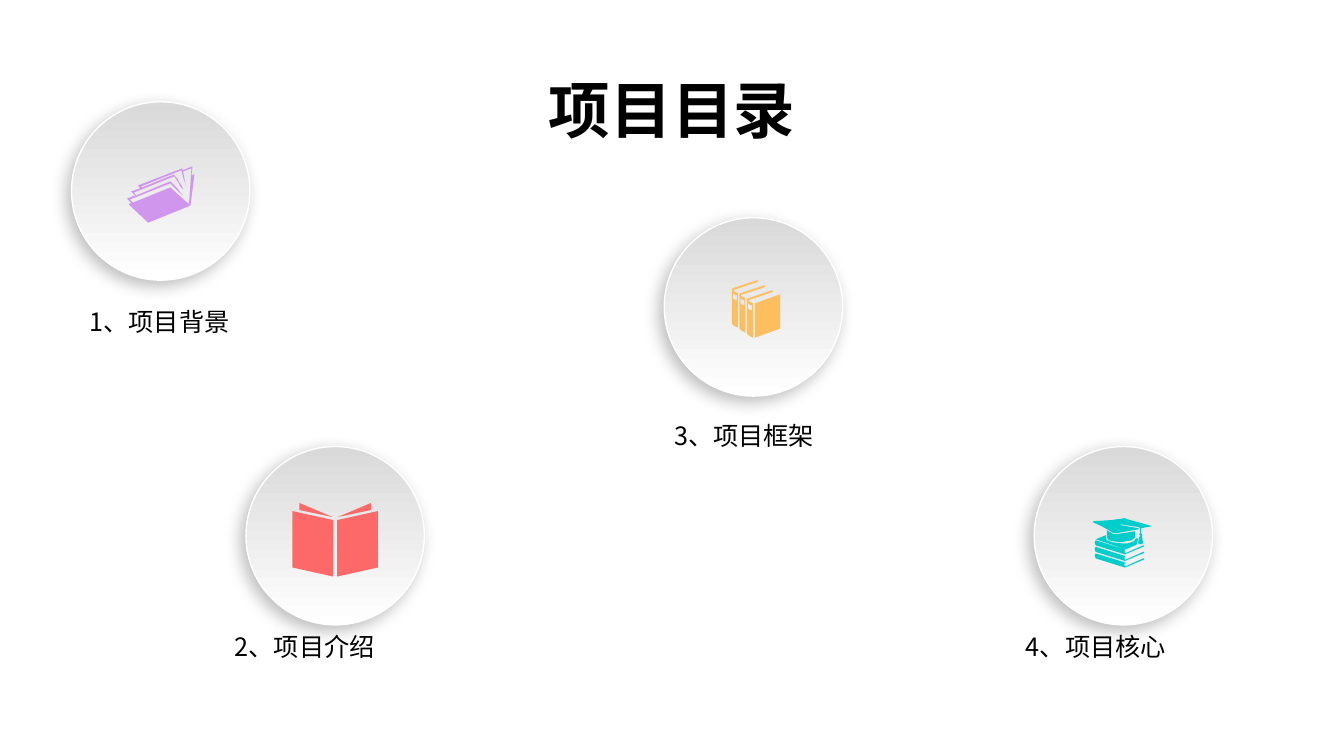
from dataclasses import dataclass

from lxml.etree import SubElement
from pptx import Presentation
from pptx.dml.color import RGBColor
from pptx.enum.shapes import MSO_SHAPE
from pptx.enum.text import MSO_ANCHOR, MSO_AUTO_SIZE, PP_ALIGN
from pptx.oxml.ns import qn
from pptx.shapes.shapetree import GroupShapes
from pptx.slide import Slide
from pptx.text.text import TextFrame
from pptx.util import Pt

Outline = list[tuple[float, float]]

FONT = "Noto Sans CJK SC"
COLORS = {
    "text": "000000",
    "shadow": "000000",
    "rim": "FFFFFF",
    "disc_low": "FFFFFF",
    "disc_high": "D9D9D9",
    "background": "D096ED",
    "introduction": "FD6968",
    "framework": "FDBE5D",
    "core": "01CDCB",
}
DISC_SIZE = 127.44
LABEL_HEIGHT = 28.8
ICON_UNIT = 0.72  # points per icon grid step


def shifted(outline: Outline, dx: float, dy: float) -> Outline:
    return [(x + dx, y + dy) for x, y in outline]


def mirrored(outline: Outline, axis: float) -> Outline:
    return [(2 * axis - x, y) for x, y in outline]


# Icon outlines, in grid steps from the icon's top left corner
FANNED_BOOK: list[Outline] = [[
    (64, 9), (65, 1), (65, 0), (55, 4), (55, 2), (11, 19), (13, 22), (4, 25),
    (8, 29), (0, 32), (4, 36), (2, 38), (21, 56), (63, 39), (43, 21), (6, 36),
    (3, 33), (43, 17), (46, 20), (49, 23), (52, 26), (56, 29), (53, 26),
    (50, 22), (47, 19), (44, 16), (43, 15), (9, 29), (7, 26), (47, 10),
    (49, 13), (51, 16), (53, 20), (56, 23), (54, 19), (52, 16), (50, 12),
    (47, 9), (47, 8), (15, 21), (14, 20), (54, 4), (55, 8), (56, 12), (58, 17),
    (59, 21), (58, 17), (57, 12), (56, 7), (56, 5), (64, 2), (62, 32),
    (61, 38), (63, 39), (67, 8),
]]

LEFT_PAGES: list[Outline] = [
    [(40, 14), (7, 0), (7, 7)],
    [(0, 64), (40.5, 73), (40.5, 17), (0, 8)],
]
OPEN_BOOK = LEFT_PAGES + [mirrored(page, 42.5) for page in LEFT_PAGES]

VOLUME: list[Outline] = [
    [(26, 1), (25, 0), (1, 8), (0, 9), (0, 43), (2, 45), (6, 47), (6, 13),
     (4, 12), (1, 10), (25, 2)],
    [(5, 15), (5, 20), (3, 19.5), (1, 18), (1, 13), (3, 14.5)],
]
FRONT_COVER: Outline = [(23, 23), (23, 57), (48, 48), (48, 14)]
BOOK_ROW = [FRONT_COVER] + [
    shifted(part, 7.5 * i, 5 * i) for i in range(3) for part in VOLUME
]

STACKED_BOOK: Outline = [
    (32, 35), (31.5, 33), (32, 31), (3, 22), (2, 24), (3, 27), (32, 36),
    (51, 28), (51, 27), (50, 27),
]
TOP_COVER: Outline = [
    (33, 31), (44, 26), (45, 20), (43, 20), (41, 23), (35, 25), (28, 25),
    (20, 24), (14, 22), (13, 19), (13, 17), (3, 21),
]
MORTARBOARD: Outline = [
    (47, 10), (47, 15), (46, 16), (47, 17), (47, 18), (46, 19), (45, 25),
    (48, 26), (50, 25), (49, 19), (49, 16), (48, 15), (48, 10), (59, 8),
    (45, 4), (34, 1), (32, 0), (18, 2), (1, 3), (0, 4), (9, 8), (21, 15),
    (23, 15), (46, 11), (45, 10), (28, 7), (27, 6), (46, 9),
]
CAP: Outline = [
    (42, 13), (42, 19), (39, 22), (33, 23), (28, 24), (21, 23), (16, 22),
    (14, 19), (14, 12), (21, 16), (23, 16),
]
GRADUATION = [TOP_COVER, MORTARBOARD, CAP] + [
    shifted(STACKED_BOOK, 0, 6.5 * i) for i in range(3)
]


@dataclass(frozen=True)
class Topic:
    label: str
    label_at: tuple[float, float]
    label_width: float
    disc_at: tuple[float, float]
    icon_at: tuple[float, float]
    icon: list[Outline]
    color: str


TOPICS = [
    Topic("1、项目背景", (56.88, 215.28), 122.4, (51.12, 72.72),
          (90.72, 118.8), FANNED_BOOK, "background"),
    Topic("2、项目介绍", (160.56, 447.12), 142.56, (175.68, 318.96),
          (208.8, 359.28), OPEN_BOOK, "introduction"),
    Topic("3、项目框架", (474.48, 296.64), 122.4, (474.48, 155.52),
          (522.72, 200.16), BOOK_ROW, "framework"),
    Topic("4、项目核心", (725.76, 447.12), 227.52, (738.72, 318.96),
          (780.48, 370.08), GRADUATION, "core"),
]


def rgb(key: str) -> RGBColor:
    return RGBColor.from_string(COLORS[key])


def add_text(slide: Slide, text: str, at: tuple[float, float], width: float,
             height: float, size: float, bold: bool = False) -> TextFrame:
    frame = slide.shapes.add_textbox(
        Pt(at[0]), Pt(at[1]), Pt(width), Pt(height)).text_frame
    frame.word_wrap = True
    frame.text = text
    run = frame.paragraphs[0].runs[0]
    run.font.size = Pt(size)
    run.font.bold = bold
    run.font.name = FONT
    run.font.color.rgb = rgb("text")
    SubElement(run.font._element, qn("a:ea"), typeface=FONT)
    return frame


def add_disc(shapes: GroupShapes, at: tuple[float, float]) -> None:
    disc = shapes.add_shape(MSO_SHAPE.OVAL, Pt(at[0]), Pt(at[1]),
                            Pt(DISC_SIZE), Pt(DISC_SIZE))
    disc.fill.gradient()
    disc.fill.gradient_angle = 90
    for stop, key in zip(disc.fill.gradient_stops, ("disc_low", "disc_high")):
        stop.color.rgb = rgb(key)
    disc.line.color.rgb = rgb("rim")
    disc.line.width = Pt(1)
    disc.shadow.inherit = False
    effects = disc._element.spPr.find(qn("a:effectLst"))
    shadow = SubElement(effects, qn("a:outerShdw"), blurRad=str(Pt(12)),
                        dist=str(Pt(5)), dir=str(135 * 60000),
                        algn="ctr", rotWithShape="0")
    tint = SubElement(shadow, qn("a:srgbClr"), val=COLORS["shadow"])
    SubElement(tint, qn("a:alpha"), val="26000")


def add_icon(shapes: GroupShapes, topic: Topic) -> None:
    outlines = [[(Pt(x * ICON_UNIT), Pt(y * ICON_UNIT)) for x, y in outline]
                for outline in topic.icon]
    builder = shapes.build_freeform(*outlines[0][0])
    builder.add_line_segments(outlines[0][1:], close=True)
    for outline in outlines[1:]:
        builder.move_to(*outline[0])
        builder.add_line_segments(outline[1:], close=True)
    icon = builder.convert_to_shape(Pt(topic.icon_at[0]), Pt(topic.icon_at[1]))
    icon.fill.solid()
    icon.fill.fore_color.rgb = rgb(topic.color)
    icon.line.fill.background()
    icon.shadow.inherit = False


def main() -> None:
    deck = Presentation()
    deck.slide_width, deck.slide_height = Pt(960), Pt(540)
    slide = deck.slides.add_slide(deck.slide_layouts[6])

    # Title
    title = add_text(slide, "项目目录", (66.24, 28.8), 828, 104.4, 44, bold=True)
    title.vertical_anchor = MSO_ANCHOR.MIDDLE
    title.paragraphs[0].alignment = PP_ALIGN.CENTER
    title.paragraphs[0].line_spacing = 0.9

    # Discs with icons
    for topic in TOPICS:
        badge = slide.shapes.add_group_shape()
        add_disc(badge.shapes, topic.disc_at)
        add_icon(badge.shapes, topic)

    # Topic labels
    for topic in TOPICS:
        label = add_text(slide, topic.label, topic.label_at,
                         topic.label_width, LABEL_HEIGHT, 18)
        label.auto_size = MSO_AUTO_SIZE.SHAPE_TO_FIT_TEXT

    deck.save("out.pptx")


if __name__ == "__main__":
    main()
